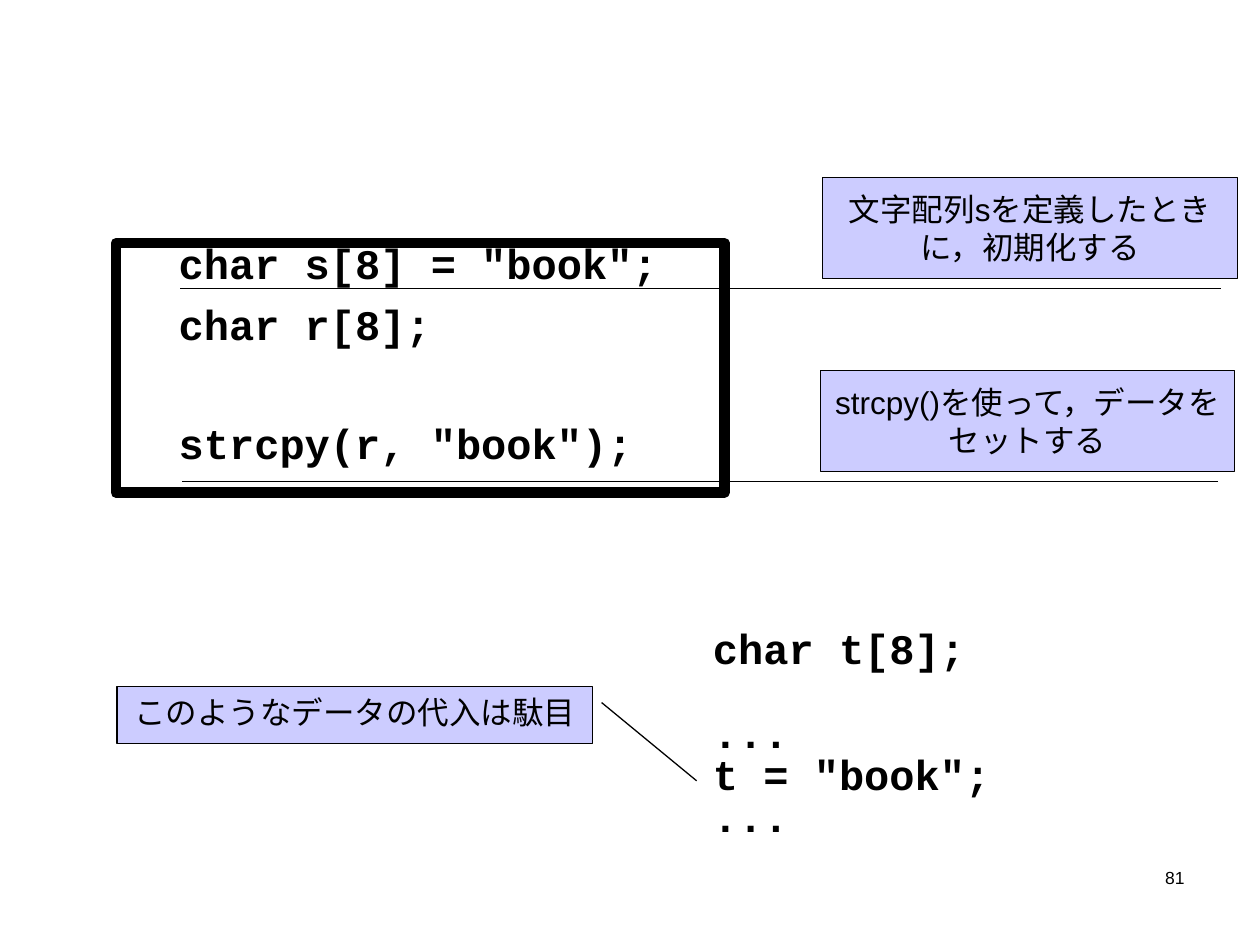
from pptx import Presentation
from pptx.dml.color import RGBColor
from pptx.enum.shapes import MSO_SHAPE
from pptx.enum.text import MSO_ANCHOR, PP_ALIGN
from pptx.util import Inches, Pt

BLACK = RGBColor(0, 0, 0)
LAVENDER = RGBColor(0xCC, 0xCC, 0xFF)

# Code boxes: place, line spacing, frame width, then (text, space before)
CODE_BOXES = [
    ((0.92, 1.93, 4.83, 1.98), 0.75, 6, [
        ('  char s[8] = "book";', 0),
        ('  char r[8];', 13),
        ('  strcpy(r, "book");', 46.5),
    ]),
    ((5.16, 5.1, 4.65, 2.09), 0.4, None, [
        ('  char t[8];', 0),
        ('  ...', 36),
        ('  t = "book";', 12.5),
        ('  ...', 12.5),
    ]),
]

# Callouts: text, place, pointer (y1, x1, y2, x2 as shares of the box), anchor
CALLOUTS = [
    ("文字配列sを定義したときに，初期化する", (6.53, 1.41, 3.29, 0.8),
     (1.1, 0.96, 1.1, -1.55), MSO_ANCHOR.MIDDLE),
    ("strcpy()を使って，データをセットする", (6.51, 2.94, 3.29, 0.8),
     (1.1, 0.96, 1.1, -1.54), MSO_ANCHOR.MIDDLE),
    ("このようなデータの代入は駄目", (0.93, 5.45, 3.77, 0.45),
     (0.28, 1.02, 1.66, 1.22), MSO_ANCHOR.TOP),
]
PAGE = ("81", (7.17, 6.83, 2.33, 0.5))


def add_box(slide, kind, place, line_width=None):
    sp = slide.shapes.add_shape(kind, *map(Inches, place))
    sp.shadow.inherit = False
    sp.fill.background()
    if line_width:
        sp.line.color.rgb = BLACK
        sp.line.width = Pt(line_width)
    else:
        sp.line.fill.background()
    sp.text_frame.word_wrap = True
    sp.text_frame.vertical_anchor = MSO_ANCHOR.TOP
    return sp


def style(p, font, size, align, bold=False):
    p.alignment = align
    for r in p.runs:
        r.font.name, r.font.size, r.font.bold = font, Pt(size), bold
        r.font.color.rgb = BLACK


prs = Presentation()
prs.slide_width, prs.slide_height = Inches(10), Inches(7.5)
slide = prs.slides.add_slide(prs.slide_layouts[6])

# Code
for place, spacing, frame, lines in CODE_BOXES:
    tf = add_box(slide, MSO_SHAPE.RECTANGLE, place, frame).text_frame
    tf.text = "\n".join(text for text, _ in lines)
    for p, (_, before) in zip(tf.paragraphs, lines):
        p.line_spacing = spacing
        p.space_before = Pt(before)
        style(p, "Courier New", 24, PP_ALIGN.LEFT, bold=True)

# Callouts
for text, place, pointer, anchor in CALLOUTS:
    sp = add_box(slide, MSO_SHAPE.LINE_CALLOUT_1, place, 0.75)
    sp.fill.solid()
    sp.fill.fore_color.rgb = LAVENDER
    for i, share in enumerate(pointer):
        sp.adjustments[i] = share
    sp.text_frame.vertical_anchor = anchor
    sp.text_frame.text = text
    style(sp.text_frame.paragraphs[0], "Arial", 18, PP_ALIGN.CENTER)

# Page number
text, place = PAGE
tf = slide.shapes.add_textbox(*map(Inches, place)).text_frame
tf.word_wrap = True
tf.text = text
style(tf.paragraphs[0], "Arial", 10, PP_ALIGN.RIGHT)

prs.save("out.pptx")
